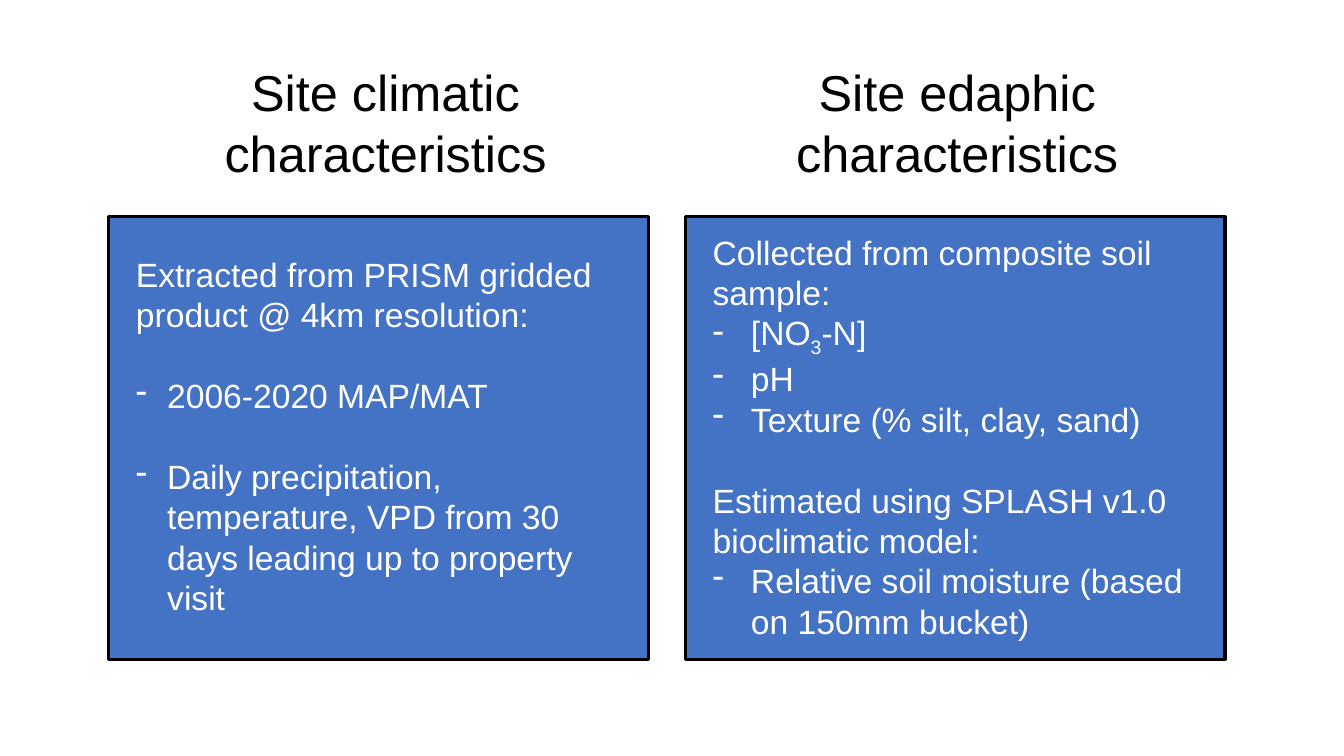
import pptx
import pptx.util
import pptx.dml.color
import pptx.enum.shapes
import pptx.enum.text
import pptx.oxml.ns
from lxml import etree

Inches = pptx.util.Inches
COLORS = {"panel": "4472C4", "border": "000000", "heading": "000000", "body": "FFFFFF"}
PANEL_TOP, PANEL_WIDTH, PANEL_HEIGHT = 2.15, 5.35, 4.39
BODY_INSET = 0.17
BLANK_LINE = 29  # points, one line of body text

# Paragraphs: (text pieces, bulleted, space before); every second piece is subscript
CLIMATIC = [
    (["Extracted from PRISM gridded product @ 4km resolution:"], False, 0),
    (["2006-2020 MAP/MAT"], True, BLANK_LINE),
    (["Daily precipitation, temperature, VPD from 30 days leading up to property visit"],
     True, BLANK_LINE),
]
EDAPHIC = [
    (["Collected from composite soil sample:"], False, 0),
    (["[NO", "3", "-N]"], True, 0),
    (["pH"], True, 0),
    (["Texture (% silt, clay, sand)"], True, 0),
    (["Estimated using SPLASH v1.0 bioclimatic model:"], False, BLANK_LINE),
    (["Relative soil moisture (based on 150mm bucket)"], True, 0),
]


def color(name):
    return pptx.dml.color.RGBColor.from_string(COLORS[name])


def style(paragraph, size, color_name):
    paragraph.font.name = "Arial"
    paragraph.font.size = pptx.util.Pt(size)
    paragraph.font.color.rgb = color(color_name)


def add_dash(paragraph, indent):
    properties = paragraph._p.get_or_add_pPr()
    properties.set("marL", str(Inches(indent)))
    properties.set("indent", str(-Inches(indent)))
    bullet = etree.SubElement(properties, pptx.oxml.ns.qn("a:buChar"))
    bullet.set("char", "-")


def add_text_box(slide, left, top, width, height, wrap):
    box = slide.shapes.add_textbox(Inches(left), Inches(top), Inches(width), Inches(height))
    box.text_frame.word_wrap = wrap
    return box.text_frame


def next_paragraph(frame, index):
    return frame.add_paragraph() if index else frame.paragraphs[0]


def add_heading(slide, left, lines):
    frame = add_text_box(slide, left, 0.56, 3.43, 1.31, False)
    for index, line in enumerate(lines):
        paragraph = next_paragraph(frame, index)
        paragraph.alignment = pptx.enum.text.PP_ALIGN.CENTER
        paragraph.add_run().text = line
        style(paragraph, 36, "heading")


def add_panel(slide, left, body_top, body_height, indent, items):
    # Filled frame
    panel = slide.shapes.add_shape(
        pptx.enum.shapes.MSO_SHAPE.RECTANGLE,
        Inches(left), Inches(PANEL_TOP), Inches(PANEL_WIDTH), Inches(PANEL_HEIGHT))
    panel.shadow.inherit = False
    panel.fill.solid()
    panel.fill.fore_color.rgb = color("panel")
    panel.line.color.rgb = color("border")
    panel.line.width = pptx.util.Pt(2.25)

    # Body text
    frame = add_text_box(slide, left + BODY_INSET, PANEL_TOP + body_top,
                         PANEL_WIDTH - 2 * BODY_INSET, body_height, True)
    for index, (pieces, bulleted, space) in enumerate(items):
        paragraph = next_paragraph(frame, index)
        if space:
            paragraph.space_before = pptx.util.Pt(space)
        if bulleted:
            add_dash(paragraph, indent)
        style(paragraph, 24, "body")
        for position, piece in enumerate(pieces):
            run = paragraph.add_run()
            run.text = piece
            if position % 2:
                run._r.get_or_add_rPr().set("baseline", "-25000")


def main():
    presentation = pptx.Presentation()
    presentation.slide_width = Inches(13.33)
    presentation.slide_height = Inches(7.5)
    slide = presentation.slides.add_slide(presentation.slide_layouts[6])

    # Climate column
    add_panel(slide, 1.08, 0.32, 3.74, 0.31, CLIMATIC)
    add_heading(slide, 2.11, ["Site climatic", "characteristics"])

    # Soil column
    add_panel(slide, 6.8, 0.1, 4.14, 0.38, EDAPHIC)
    add_heading(slide, 7.78, ["Site edaphic", "characteristics"])

    presentation.save("out.pptx")


if __name__ == "__main__":
    main()
